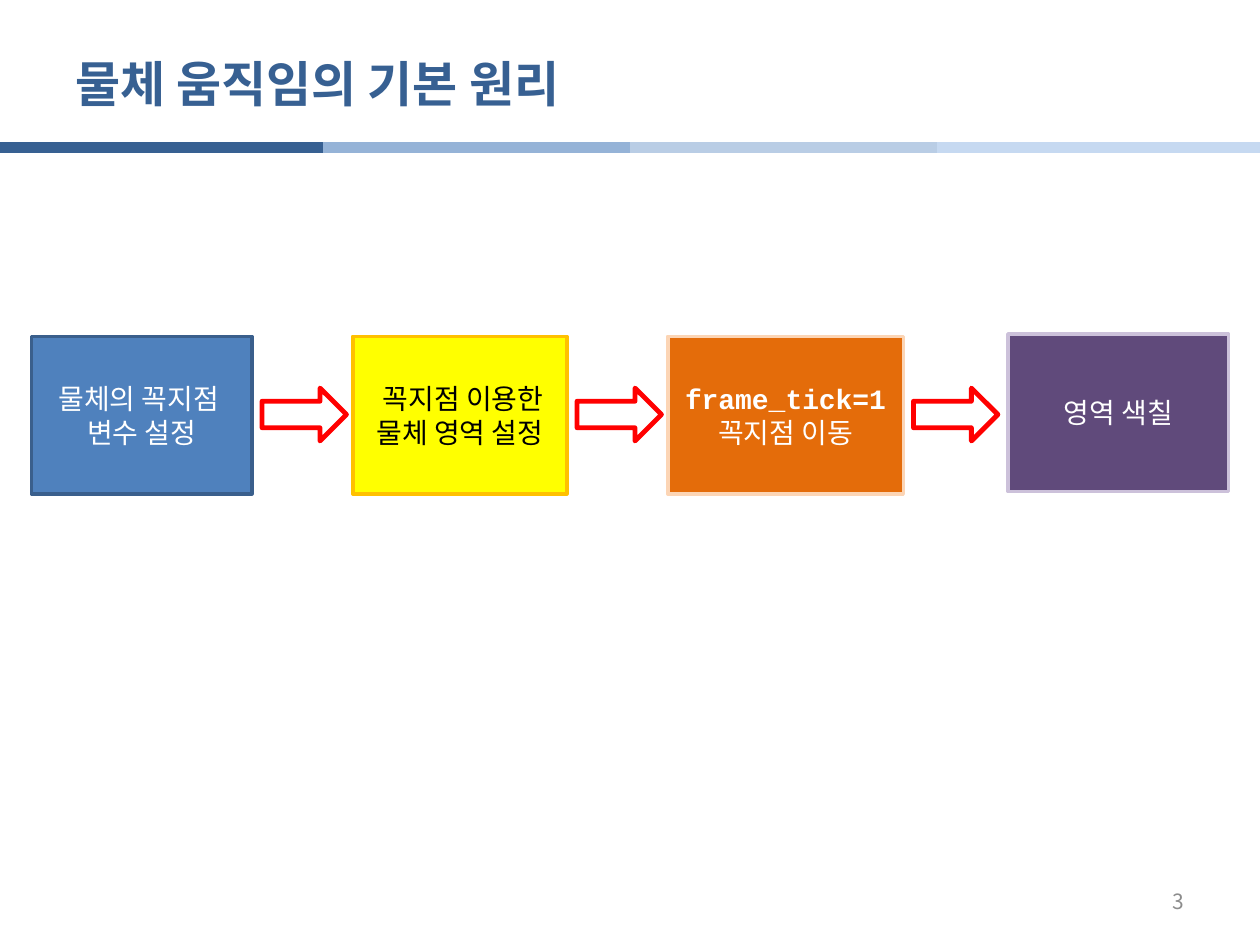
from pptx import Presentation as Deck
from pptx.dml.color import RGBColor as Rgb
from pptx.enum.shapes import MSO_CONNECTOR as Link, MSO_SHAPE as Shape
from pptx.enum.text import MSO_ANCHOR as Anchor, PP_ALIGN as Align
from pptx.oxml.ns import qn
from pptx.util import Inches, Pt
from lxml.etree import SubElement as Sub

WIDE, HIGH = 10, 7.5
SANS, MONO, HEAD = "Noto Sans CJK KR", "Courier New", "Karla"
HUES = {
    "navy": "376092", "steel": "95B3D7", "mist": "B9CDE5", "ice": "C6D9F1",
    "blue": "4F81BD", "edge": "3A5F8C", "yellow": "FFFF00", "gold": "FFC000",
    "orange": "E46C0A", "peach": "FCD5B5", "purple": "604A7B",
    "lilac": "CCC1DA", "red": "FF0000", "grey": "8C8C8C",
    "white": "FFFFFF", "black": "000000",
}
BANDS = [(0, "navy"), (2.56, "steel"), (5, "mist"), (7.44, "ice")]
BAND = 2.56
ROW, TALL = 2.67, 1.25
STEPS = [
    (0.25, ROW, 1.75, "blue", "edge", "white",
     [[("물체의 꼭지점 ", SANS, False)], [("변수 설정", SANS, False)]]),
    (2.8, ROW, 1.7, "yellow", "gold", "black",
     [[(" 꼭지점 이용한 물체 영역 설정", SANS, False)]]),
    (5.3, ROW, 1.87, "orange", "peach", "white",
     [[("frame_tick=1", MONO, True), ("꼭지점 이동", SANS, False)]]),
    (8, 2.65, 1.75, "purple", "lilac", "white",
     [[("영역 색칠", SANS, False)]]),
]


def hue(name):
    return Rgb.from_string(HUES[name])


def place(item, left, top, wide, high):
    item.left, item.top = Inches(left), Inches(top)
    item.width, item.height = Inches(wide), Inches(high)


def add_run(para, text, face, size, tint, bold=False):
    run = para.add_run()
    run.text = text
    font = run.font
    font.name, font.size, font.bold = face, Pt(size), bold
    font.color.rgb = hue(tint)
    east = Sub(font._element, qn("a:ea"))
    east.set("typeface", SANS)


def add_band(slide, left, tint):
    y = Inches(HIGH * 0.156)
    line = slide.shapes.add_connector(
        Link.STRAIGHT, Inches(left), y, Inches(left + BAND), y)
    line.line.color.rgb = hue(tint)
    line.line.width = Pt(6)
    Sub(line._element.spPr, qn("a:effectLst"))


def add_shape(slide, kind, spot, edge, width, fill=None):
    item = slide.shapes.add_shape(kind, *map(Inches, spot))
    item.shadow.inherit = False
    if fill:
        item.fill.solid()
        item.fill.fore_color.rgb = hue(fill)
    else:
        item.fill.background()
    item.line.color.rgb = hue(edge)
    item.line.width = Pt(width)
    return item


def add_step(slide, left, top, wide, fill, edge, tint, paras):
    box = add_shape(slide, Shape.RECTANGLE, (left, top, wide, TALL),
                    edge, 2, fill)
    frame = box.text_frame
    frame.word_wrap = True
    frame.vertical_anchor = Anchor.MIDDLE
    for i, runs in enumerate(paras):
        para = frame.add_paragraph() if i else frame.paragraphs[0]
        para.alignment = Align.CENTER
        for j, (text, face, bold) in enumerate(runs):
            if j:
                para.add_line_break()
            add_run(para, text, face, 16, tint, bold)


def add_arrow(slide, left):
    add_shape(slide, Shape.RIGHT_ARROW, (left, ROW + 0.41, 0.67, 0.42),
              "red", 2.75)


def add_title(slide, text):
    title = slide.shapes.title
    place(title, WIDE * 0.05, 0.17, WIDE * 0.9, 0.97)
    frame = title.text_frame
    frame.vertical_anchor = Anchor.MIDDLE
    para = frame.paragraphs[0]
    para.alignment = Align.LEFT
    add_run(para, text, HEAD, 28, "navy", True)


def add_page(slide, text):
    spot = map(Inches, (7.17, 6.95, 2.33, 0.4))
    frame = slide.shapes.add_textbox(*spot).text_frame
    frame.word_wrap = True
    frame.vertical_anchor = Anchor.MIDDLE
    para = frame.paragraphs[0]
    para.alignment = Align.RIGHT
    add_run(para, text, SANS, 12, "grey")


def main():
    deck = Deck()
    deck.slide_width, deck.slide_height = Inches(WIDE), Inches(HIGH)
    slide = deck.slides.add_slide(deck.slide_layouts[5])
    for left, tint in BANDS:
        add_band(slide, left, tint)
    add_title(slide, "물체 움직임의 기본 원리")
    add_page(slide, "3")
    for step in STEPS:
        add_step(slide, *step)
    for left, _, wide, *_ in STEPS[:-1]:
        add_arrow(slide, left + wide + 0.08)
    deck.save("out.pptx")


if __name__ == "__main__":
    main()
